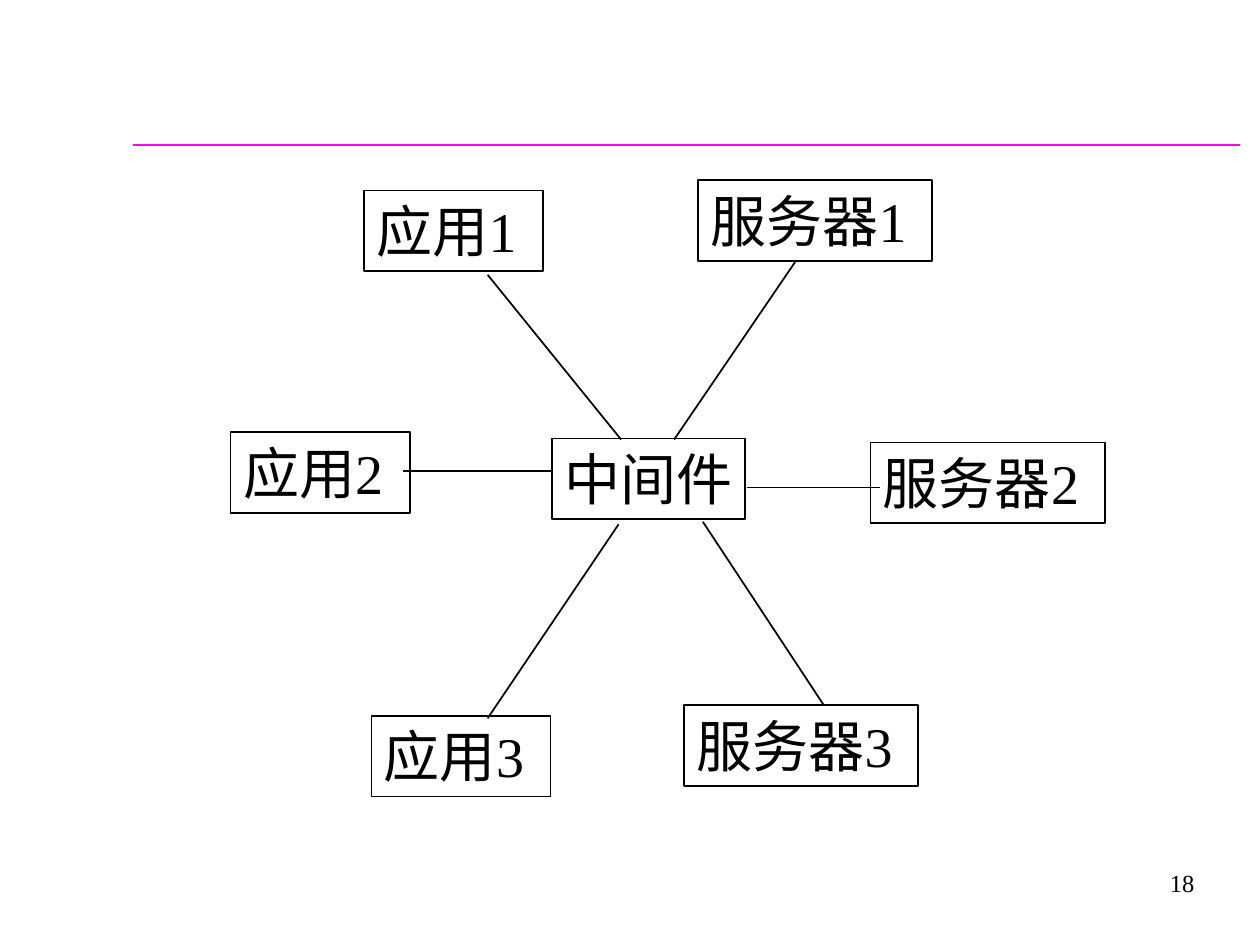
from dataclasses import dataclass

from pptx import Presentation
from pptx.dml.color import RGBColor
from pptx.enum.shapes import MSO_CONNECTOR as Link, MSO_SHAPE as Shape
from pptx.enum.text import MSO_ANCHOR as Anchor, PP_ALIGN as Align
from pptx.oxml.ns import qn
from pptx.util import Cm, Pt


@dataclass(frozen=True)
class Theme:
    ink: RGBColor = RGBColor(0, 0, 0)
    rule: RGBColor = RGBColor(255, 0, 255)
    paper: RGBColor = RGBColor(255, 255, 255)
    font: str = "Times New Roman"
    label_size: Pt = Pt(32)
    number_size: Pt = Pt(14)
    line_width: Pt = Pt(1)
    rule_width: Pt = Pt(1.5)


theme = Theme()


def add_line(start, end, color, width):
    line = page.shapes.add_connector(Link.STRAIGHT, *map(Cm, start + end))
    line.line.color.rgb = color
    line.line.width = width
    properties = line._element.spPr
    properties.append(properties.makeelement(qn("a:effectLst"), {}))


def write(box, text, size, align, anchor):
    frame = box.text_frame
    frame.text = text
    frame.word_wrap = True
    frame.vertical_anchor = anchor
    para = frame.paragraphs[0]
    para.alignment = align
    font = para.runs[0].font
    font.name = theme.font
    font.size = size
    font.color.rgb = theme.ink


deck = Presentation()
deck.slide_width, deck.slide_height = Cm(25.4), Cm(19.05)
page = deck.slides.add_slide(deck.slide_layouts[6])
page.background.fill.solid()
page.background.fill.fore_color.rgb = theme.paper

add_line((2.69, 2.92), (24.99, 2.92), theme.rule, theme.rule_width)

number = page.shapes.add_textbox(Cm(19.05), Cm(17.15), Cm(5.28), Cm(1.27))
write(number, "18", theme.number_size, Align.RIGHT, Anchor.MIDDLE)

# Each group: name, box width, and the top-left corners of its boxes
node_height = 1.63
groups = [
    ("应用", 3.61, [(7.34, 3.84), (4.65, 8.71), (7.49, 14.43)]),
    ("服务器", 4.72, [(14.07, 3.63), (17.55, 8.92), (13.79, 14.22)]),
]
nodes = [
    (f"{name}{index}", left, top, width)
    for name, width, corners in groups
    for index, (left, top) in enumerate(corners, 1)
]
nodes.append(("中间件", 11.13, 8.84, 3.89))

for label, left, top, width in nodes:
    node = page.shapes.add_shape(
        Shape.RECTANGLE, Cm(left), Cm(top), Cm(width), Cm(node_height))
    node.shadow.inherit = False
    node.fill.background()
    node.line.color.rgb = theme.ink
    node.line.width = theme.line_width
    write(node, label, theme.label_size, Align.LEFT, Anchor.TOP)
    # The labels fill their boxes, so spare room on the right keeps them on one line
    node.text_frame.margin_right = 0

# Spokes between the middleware and its clients and servers
spokes = [
    ((9.83, 5.54), (12.52, 8.86)),
    ((8.13, 9.5), (11.15, 9.5)),
    ((9.83, 14.48), (12.47, 10.57)),
    ((16.61, 14.22), (14.17, 10.52)),
    ((15.06, 9.83), (17.73, 9.83)),
    ((13.59, 8.86), (16.03, 5.28)),
]
for start, end in spokes:
    add_line(start, end, theme.ink, theme.line_width)

deck.save("out.pptx")
